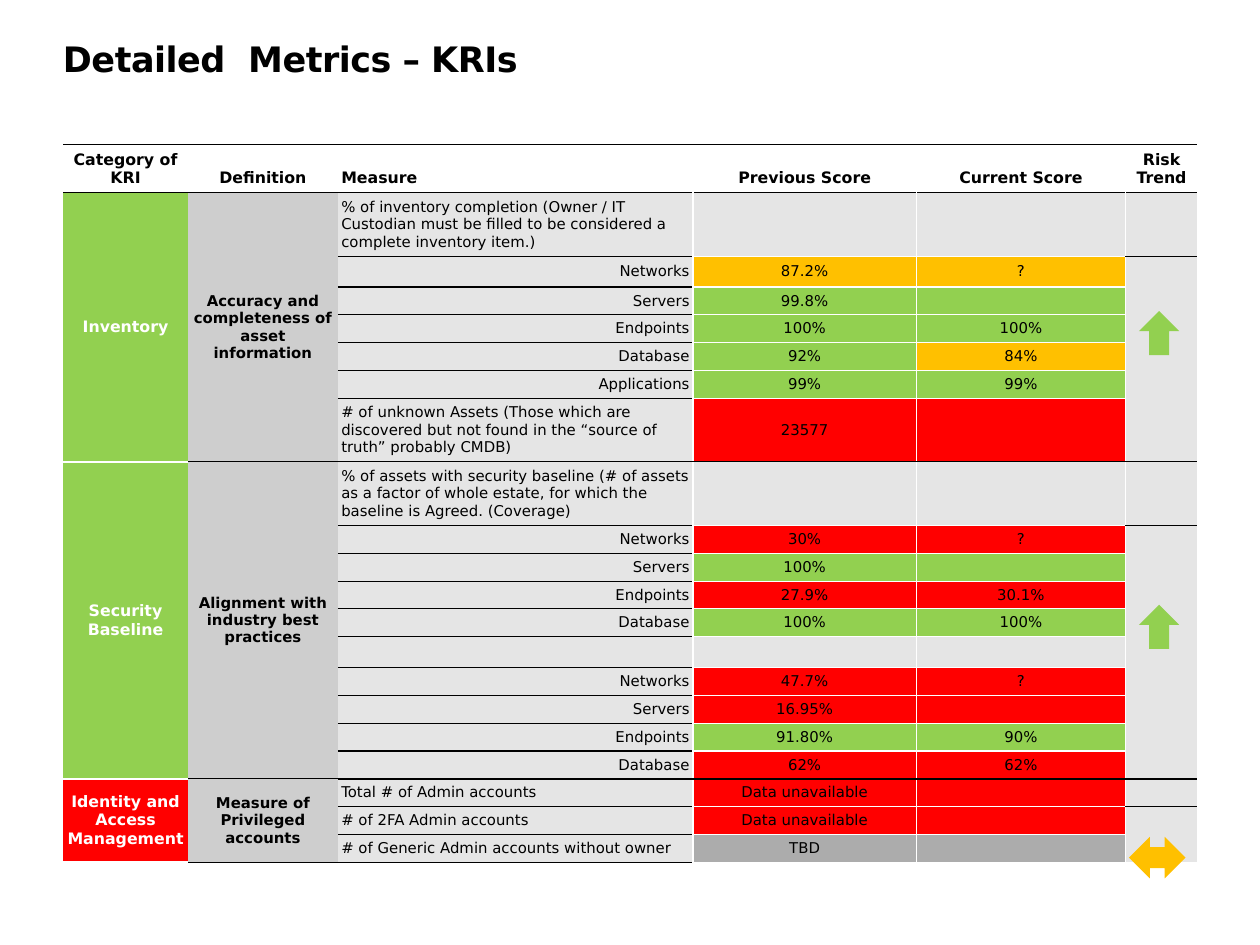
from dataclasses import dataclass

from lxml.etree import SubElement
from pptx import Presentation
from pptx.dml.color import RGBColor as RGB
from pptx.enum.shapes import MSO_SHAPE as Geo
from pptx.enum.text import MSO_ANCHOR as Anchor, PP_ALIGN as Align
from pptx.oxml.ns import qn
from pptx.util import Cm, Pt


@dataclass(frozen=True)
class Theme:
    font: str = "DejaVu Sans"
    title: float = 20
    head: float = 9
    body: float = 8.5
    black: str = "000000"
    white: str = "FFFFFF"
    green: str = "92D050"
    amber: str = "FFC000"
    red: str = "FF0000"
    pale: str = "E5E5E5"
    mid: str = "CECECE"
    dark: str = "ACACAC"
    thin: float = 0.75
    firm: float = 1
    thick: float = 1.5


T = Theme()
NO_STYLE = "{2D5ABB26-0587-4C30-8999-92F81FD0307C}"
SIDES = {"l": "a:lnL", "r": "a:lnR", "t": "a:lnT", "b": "a:lnB"}
ASSETS = ("Networks", "Servers", "Endpoints", "Database", "Applications")

# Fill codes: one letter each for the previous and the current score
CODES = {"g": T.green, "y": T.amber, "r": T.red, "p": T.pale, "d": T.dark}
LOW, MID, TALL = 0.55, 0.62, 1.25
WIDTHS = (2.52, 3.02, 7.16, 4.5, 4.22, 1.45)
HEADS = ("Category of KRI", "Definition", "Measure", "Previous Score",
         "Current Score", "Risk Trend")

# Category, its fill, definition, weight of its top line, then
# rows of measure, previous score, current score, fills, height
GROUPS = (
    ("Inventory", T.green, "Accuracy and completeness of asset information", T.thin, (
        ("% of inventory completion (Owner / IT Custodian must be filled to be "
         "considered a complete inventory item.)", "", "", "pp", TALL),
        ("Networks", "87.2%", "?", "yy", MID),
        ("Servers", "99.8%", "", "gg", LOW),
        ("Endpoints", "100%", "100%", "gg", LOW),
        ("Database", "92%", "84%", "gy", LOW),
        ("Applications", "99%", "99%", "gg", LOW),
        ("# of unknown Assets (Those which are discovered but not found in the "
         "“source of truth” probably CMDB)", "23577", "", "rr", TALL))),
    ("Security Baseline", T.green, "Alignment with industry best practices", T.thin, (
        ("% of assets with security baseline (# of assets as a factor of whole "
         "estate, for which the baseline is Agreed. (Coverage)", "", "", "pp", TALL),
        ("Networks", "30%", "?", "rr", LOW),
        ("Servers", "100%", "", "gg", LOW),
        ("Endpoints", "27.9%", "30.1%", "rr", LOW),
        ("Database", "100%", "100%", "gg", LOW),
        ("", "", "", "pp", MID),
        ("Networks", "47.7%", "?", "rr", LOW),
        ("Servers", "16.95%", "", "rr", LOW),
        ("Endpoints", "91.80%", "90%", "gg", LOW),
        ("Database", "62%", "62%", "rr", LOW))),
    ("Identity and Access Management", T.red, "Measure of Privileged accounts", T.firm, (
        ("Total # of Admin accounts", "Data unavailable", "", "rr", LOW),
        ("# of 2FA Admin accounts", "Data unavailable", "", "rr", LOW),
        ("# of Generic Admin accounts without owner", "TBD", "", "dd", LOW))),
)


class Deck:
    def __init__(self, theme, wide, high):
        self.theme = theme
        self.prs = Presentation()
        self.prs.slide_width, self.prs.slide_height = Cm(wide), Cm(high)
        self.slide = self.prs.slides.add_slide(self.prs.slide_layouts[6])

    def run(self, para, text, size, color, bold=False):
        run = para.add_run()
        run.text = text
        font = run.font
        font.name, font.size, font.bold = self.theme.font, Pt(size), bold
        font.color.rgb = RGB.from_string(color)
        return run

    def title(self, text, x, y, w, h):
        frame = self.slide.shapes.add_textbox(Cm(x), Cm(y), Cm(w), Cm(h)).text_frame
        frame.word_wrap = True
        frame.margin_left = frame.margin_right = 0
        frame.margin_top = frame.margin_bottom = 0
        run = self.run(frame.paragraphs[0], text, self.theme.title,
                       self.theme.black, True)
        run._r.get_or_add_rPr().set("spc", "-30")

    def table(self, x, y, widths, heights):
        table = self.slide.shapes.add_table(
            len(heights), len(widths), Cm(x), Cm(y),
            Cm(sum(widths)), Cm(sum(heights))).table
        table.first_row = table.horz_banding = False
        table._tbl.tblPr.find(qn("a:tableStyleId")).text = NO_STYLE
        for col, width in zip(table.columns, widths):
            col.width = Cm(width)
        for row, height in zip(table.rows, heights):
            row.height = Cm(height)
        for cell in table.iter_cells():
            self.blank(cell)
        return table

    def blank(self, cell):
        cell.margin_left = cell.margin_right = Cm(0.07)
        cell.margin_top = cell.margin_bottom = Cm(0.1)
        end = SubElement(cell.text_frame.paragraphs[0]._p, qn("a:endParaRPr"))
        end.set("sz", str(int(self.theme.body * 100)))
        SubElement(end, qn("a:latin")).set("typeface", self.theme.font)

    def edges(self, cell, edges):
        props = cell._tc.get_or_add_tcPr()
        for side, tag in SIDES.items():
            if side in edges:
                color, weight = edges[side]
                line = SubElement(props, qn(tag), w=str(Pt(weight)))
                fill = SubElement(line, qn("a:solidFill"))
                SubElement(fill, qn("a:srgbClr")).set("val", color)

    def cell(self, cell, text, fill, edges, align=Align.CENTER, size=T.body,
             color=T.black, bold=False, anchor=Anchor.MIDDLE):
        self.edges(cell, edges)
        if fill:
            cell.fill.solid()
            cell.fill.fore_color.rgb = RGB.from_string(fill)
        else:
            cell.fill.background()
        cell.vertical_anchor = anchor
        para = cell.text_frame.paragraphs[0]
        para.alignment = align
        if text:
            self.run(para, text, size, color, bold)

    def arrow(self, geo, color, x, y, w, h, turn=0):
        shape = self.slide.shapes.add_shape(geo, Cm(x), Cm(y), Cm(w), Cm(h))
        shape.shadow.inherit = False
        shape.rotation = turn
        shape.fill.solid()
        shape.fill.fore_color.rgb = RGB.from_string(color)
        shape.line.fill.background()


def main():
    deck = Deck(T, 25.4, 19.05)
    deck.title("Detailed  Metrics – KRIs", 1.27, 0.76, 20.32, 2.03)

    # Table and its head row
    heights = [0.95] + [row[-1] for group in GROUPS for row in group[-1]]
    grid = deck.table(1.27, 2.92, WIDTHS, heights)
    ink, gap, band = (T.black, T.thin), (T.white, T.thin), (T.white, T.thick)
    for col, text in enumerate(HEADS):
        deck.cell(grid.cell(0, col), text, None, {"t": ink, "b": ink},
                  Align.LEFT if col == 2 else Align.CENTER,
                  T.head, bold=True, anchor=Anchor.BOTTOM)

    # Groups of measures
    top = 1
    for num, (name, tint, about, weight, rows) in enumerate(GROUPS):
        last = top + len(rows) - 1
        for col in (0, 1):
            grid.cell(top, col).merge(grid.cell(last, col))
        deck.cell(grid.cell(top, 0), name, tint,
                  {"t": band if num else ink, "b": band},
                  size=T.head, color=T.white, bold=True)
        deck.cell(grid.cell(top, 1), about, T.mid, {"t": ink, "b": ink}, bold=True)
        final = num == len(GROUPS) - 1
        foot = None if final else (T.black, GROUPS[num + 1][3])
        for at, (label, prev, now, code, _) in enumerate(rows, top):
            seam = {}
            if at == top:
                seam["t"] = (T.black, weight)
            if at == last and foot:
                seam["b"] = foot
            deck.cell(grid.cell(at, 2), label, T.pale,
                      {"t": ink, "r": gap, "b": ink} | seam,
                      Align.RIGHT if label in ASSETS else Align.LEFT)
            for col, text, key in zip((3, 4), (prev, now), code):
                deck.cell(grid.cell(at, col), text, CODES[key],
                          dict.fromkeys(SIDES, gap) | seam)
            deck.cell(grid.cell(at, 5), "", T.pale, {"l": gap} | seam)
        top = last + 1

    # Trend arrows
    deck.arrow(Geo.LEFT_RIGHT_ARROW, T.amber, 22.76, 16.87, 1.14, 0.84)
    for y in (12.19, 6.27):
        deck.arrow(Geo.DOWN_ARROW, T.green, 22.96, y, 0.81, 0.89, 180)

    deck.prs.save("out.pptx")


if __name__ == "__main__":
    main()
